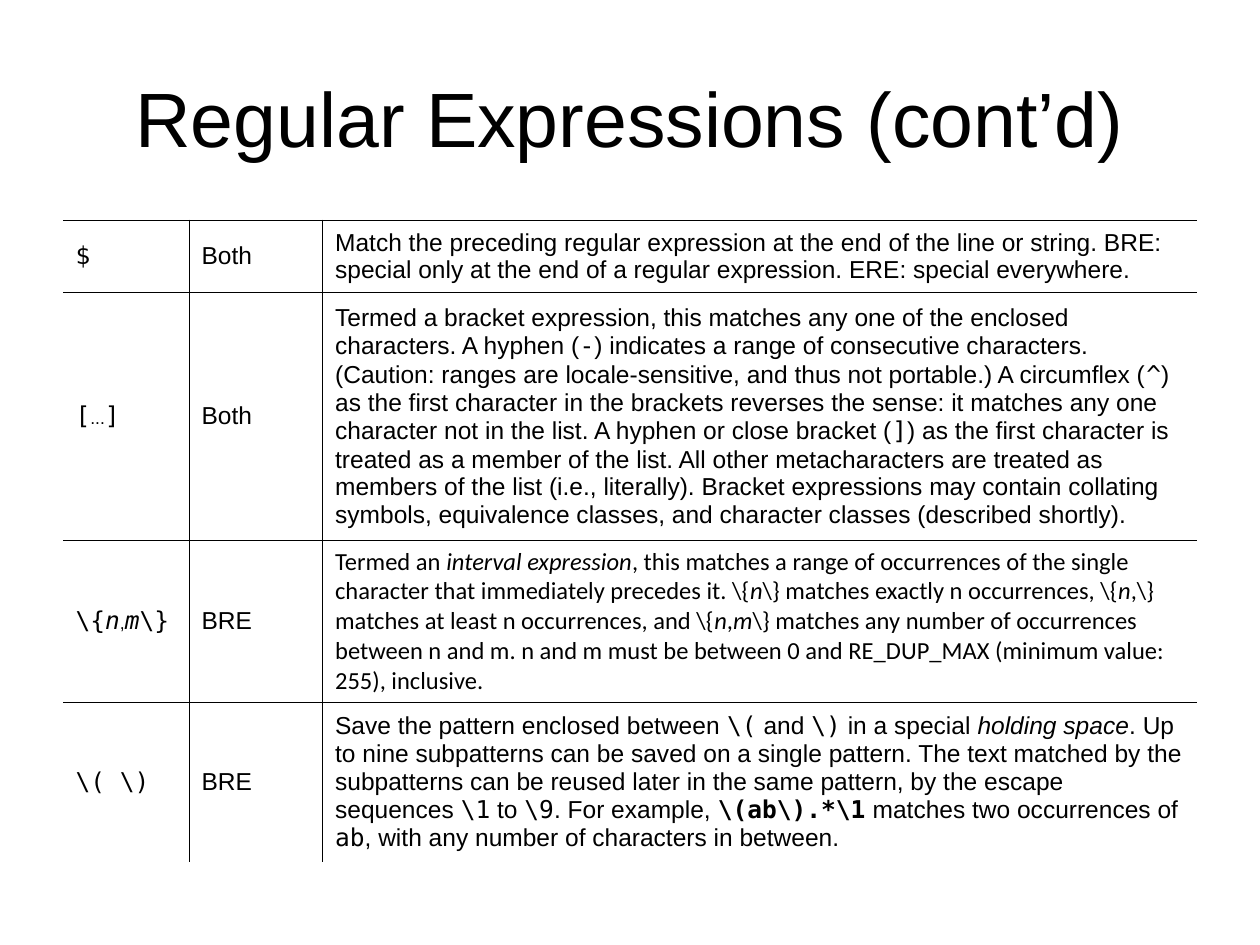
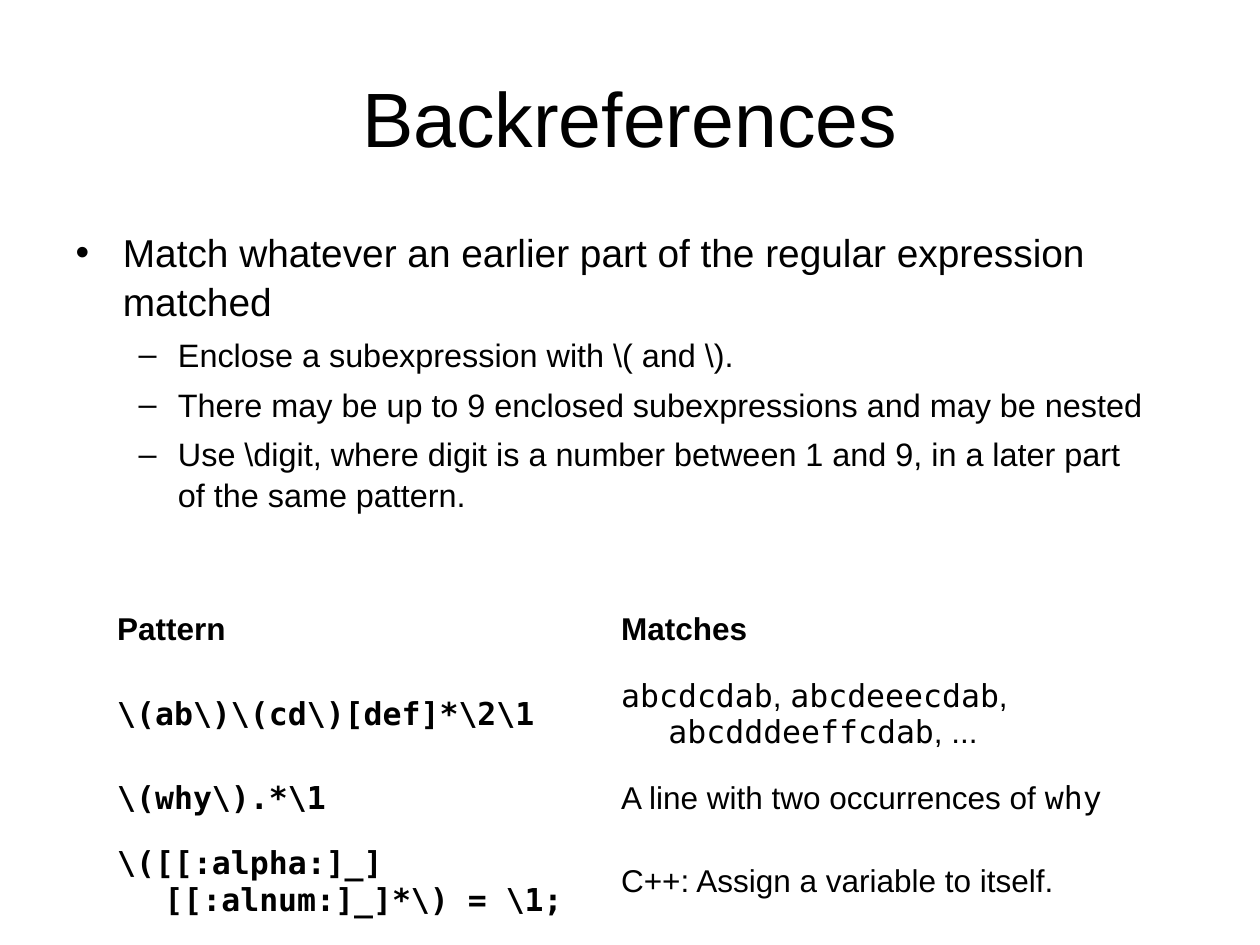
from dataclasses import dataclass

from lxml import etree
from pptx import Presentation
from pptx.dml.color import RGBColor
from pptx.enum.text import MSO_ANCHOR, MSO_AUTO_SIZE, PP_ALIGN
from pptx.oxml.ns import qn
from pptx.util import Inches, Pt

MIDDLE, TOP = MSO_ANCHOR.MIDDLE, MSO_ANCHOR.TOP
CENTER, NOFIT = PP_ALIGN.CENTER, MSO_AUTO_SIZE.NONE
COLS, ROWS = 40, 30
UNIT = Inches(0.25)
NO_GRID = "{2D5ABB26-0587-4C30-8999-92F81FD0307C}"


@dataclass(frozen=True)
class Face:
    """A font with its weight, slant and optional fixed size."""
    font: str
    bold: bool = False
    slant: bool = False
    size: float = 0


@dataclass(frozen=True)
class Theme:
    """Colours, type sizes and rules shared by all slides."""
    ink: str = "000000"
    paper: str = "FFFFFF"
    title: float = 44
    lead: float = 22.2
    point: float = 18.5
    sample: float = 18
    cell: float = 14
    rule: float = 0.45
    edge: float = 1.08
    hang: float = 1.5
    leading: float = 1.05


THEME = Theme()
PLAIN = Face("Arial")
BOLD = Face("Arial", bold=True)
SLANT = Face("Arial", slant=True)
SMALL = Face("Arial", size=10)
MONO = Face("DejaVu Sans Mono")
CODE = Face("DejaVu Sans Mono", bold=True)
VAR = Face("DejaVu Sans Mono", slant=True)
BOOK = Face("Calibri")
TERM = Face("Calibri", slant=True)

HEAD_BOX = (2, 1.2, 36, 5)
RULE_BOX = (2, 7, 36, 20.32)
LIST_BOX = (2, 7, 35, 10.68)
PAIR_BOX = (3.32, 18.68, 34, 10.52)

SYMBOLS = [
    [[(MONO, "$")], ["Both"],
     ["Match the preceding regular expression at the end of the line or string. "
      "BRE: special only at the end of a regular expression. "
      "ERE: special everywhere."]],
    [[(MONO, "["), (SMALL, "..."), (MONO, "]")], ["Both"],
     ["Termed a bracket expression, this matches any one of the enclosed "
      "characters. A hyphen (", (MONO, "-"),
      ") indicates a range of consecutive characters. (Caution: ranges are "
      "locale-sensitive, and thus not portable.) A circumflex (", (MONO, "^"),
      ") as the first character in the brackets reverses the sense: it matches "
      "any one character not in the list. A hyphen or close bracket (",
      (MONO, "]"),
      ") as the first character is treated as a member of the list. All other "
      "metacharacters are treated as members of the list (i.e., literally). "
      "Bracket expressions may contain collating symbols, equivalence classes, "
      "and character classes (described shortly)."]],
    [[(MONO, r"\{"), (VAR, "n"), (SMALL, ","), (VAR, "m"), (MONO, r"\}")], ["BRE"],
     [(BOOK, "Termed an "), (TERM, "interval expression"),
      (BOOK, ", this matches a range of occurrences of the single character "
             r"that immediately precedes it. \{"), (TERM, "n"),
      (BOOK, r"\} matches exactly n occurrences, \{"), (TERM, "n"),
      (BOOK, r",\} matches at least n occurrences, and \{"), (TERM, "n"),
      (BOOK, ","), (TERM, "m"),
      (BOOK, r"\} matches any number of occurrences between n and m. n and m "
             "must be between 0 and RE_DUP_MAX (minimum value: 255), inclusive.")]],
    [[(MONO, r"\( \)")], ["BRE"],
     ["Save the pattern enclosed between ", (MONO, r"\("), " and ", (MONO, r"\)"),
      " in a special ", (SLANT, "holding space"),
      ". Up to nine subpatterns can be saved on a single pattern. The text "
      "matched by the subpatterns can be reused later in the same pattern, by "
      "the escape sequences ", (MONO, r"\1"), " to ", (MONO, r"\9"),
      ". For example, ", (CODE, r"\(ab\).*\1"), " matches two occurrences of ",
      (MONO, "ab"), ", with any number of characters in between."]],
]

POINTS = [
    (0, "Match whatever an earlier part of the regular expression matched"),
    (1, r"Enclose a subexpression with \( and \)."),
    (1, "There may be up to 9 enclosed subexpressions and may be nested"),
    (1, r"Use \digit, where digit is a number between 1 and 9, in a later part "
        "of the same pattern."),
]

PAIRS = [
    [[(BOLD, "Pattern")], [(BOLD, "Matches")]],
    [[(CODE, r"\(ab\)\(cd\)[def]*\2\1")],
     [(MONO, "abcdcdab"), ", ", (MONO, "abcdeeecdab"), ", ",
      (MONO, "abcdddeeffcdab"), ", ..."]],
    [[(CODE, r"\(why\).*\1")],
     ["A line with two occurrences of ", (MONO, "why")]],
    [[(CODE, r"\([[:alpha:]_][[:alnum:]_]*\) = \1;")],
     ["C++: Assign a variable to itself."]],
]


def grid(count):
    """Turn a number of grid units into a length."""
    return round(count * UNIT)


def place(shape, box):
    """Move a shape to a box on the grid."""
    shape.left, shape.top, shape.width, shape.height = map(grid, box)


def write(para, runs, size):
    """Add runs to a paragraph; a bare string is in the plain face."""
    for item in runs:
        face, text = (PLAIN, item) if isinstance(item, str) else item
        run = para.add_run()
        run.text = text
        font = run.font
        font.name, font.size = face.font, Pt(face.size or size)
        font.bold, font.italic = face.bold, face.slant
        font.color.rgb = RGBColor.from_string(THEME.ink)


def indent(para, left, hang):
    """Set a hanging indent in grid units."""
    props = para._p.get_or_add_pPr()
    props.set("marL", str(grid(left)))
    props.set("indent", str(-grid(hang)))


def border(cell, side, width):
    """Draw one solid side of a cell."""
    line = etree.SubElement(cell._tc.get_or_add_tcPr(), qn(f"a:ln{side}"),
                            w=str(Pt(width)))
    fill = etree.SubElement(line, qn("a:solidFill"))
    etree.SubElement(fill, qn("a:srgbClr"), val=THEME.ink)


def frame(cell, row, col, last):
    """Rule a cell on its inner sides and along the top of the table."""
    if col:
        border(cell, "L", THEME.rule)
    if col < last[1]:
        border(cell, "R", THEME.rule)
    border(cell, "T", THEME.rule if row else THEME.edge)
    if row < last[0]:
        border(cell, "B", THEME.rule)


def table(slide, box, data, wide, high, size, hang=0, ruled=False):
    """Fill a box with a plain table of rich text."""
    last = (len(high) - 1, len(wide) - 1)
    grid_tab = slide.shapes.add_table(len(high), len(wide), *map(grid, box)).table
    grid_tab.first_row = grid_tab.horz_banding = False
    grid_tab._tbl.tblPr.find(qn("a:tableStyleId")).text = NO_GRID
    for part, span in zip(grid_tab.columns, wide):
        part.width = grid(span)
    for part, span in zip(grid_tab.rows, high):
        part.height = grid(span)
    for row, line in enumerate(data):
        for col, runs in enumerate(line):
            cell = grid_tab.cell(row, col)
            if ruled:
                frame(cell, row, col, last)
            cell.fill.background()
            cell.vertical_anchor = MIDDLE
            para = cell.text_frame.paragraphs[0]
            indent(para, hang, hang)
            write(para, runs, size)


def title(slide, text):
    """Set the centred slide title."""
    shape = slide.shapes.title
    place(shape, HEAD_BOX)
    body = shape.text_frame
    body.vertical_anchor, body.auto_size = MIDDLE, NOFIT
    para = body.paragraphs[0]
    para.alignment = CENTER
    write(para, [text], THEME.title)


def points(slide, box, items):
    """Fill the body placeholder with a two-level list."""
    shape = slide.placeholders[1]
    place(shape, box)
    body = shape.text_frame
    body.vertical_anchor, body.auto_size = TOP, NOFIT
    looks = [(THEME.lead, 6, THEME.hang, THEME.hang), (THEME.point, 5, 3.25, 1.25)]
    for spot, (level, text) in enumerate(items):
        para = body.add_paragraph() if spot else body.paragraphs[0]
        size, gap, left, hang = looks[level]
        para.level, para.space_before = level, Pt(gap)
        para.line_spacing = THEME.leading
        indent(para, left, hang)
        write(para, [text], size)


def page(deck, layout, text):
    """Add a titled slide on white."""
    slide = deck.slides.add_slide(deck.slide_layouts[layout])
    fill = slide.background.fill
    fill.solid()
    fill.fore_color.rgb = RGBColor.from_string(THEME.paper)
    title(slide, text)
    return slide


def main():
    """Build and save the deck."""
    deck = Presentation()
    deck.slide_width, deck.slide_height = COLS * UNIT, ROWS * UNIT
    slide = page(deck, 5, "Regular Expressions (cont’d)")
    table(slide, RULE_BOX, SYMBOLS, (4, 4.24, 27.76), (2.28, 7.88, 5.08, 5.08),
          THEME.cell, ruled=True)
    slide = page(deck, 1, "Backreferences")
    points(slide, LIST_BOX, POINTS)
    table(slide, PAIR_BOX, PAIRS, (16, 18), (2.6, 2.8, 2.56, 2.56),
          THEME.sample, hang=THEME.hang)
    deck.save("out.pptx")


if __name__ == "__main__":
    main()
